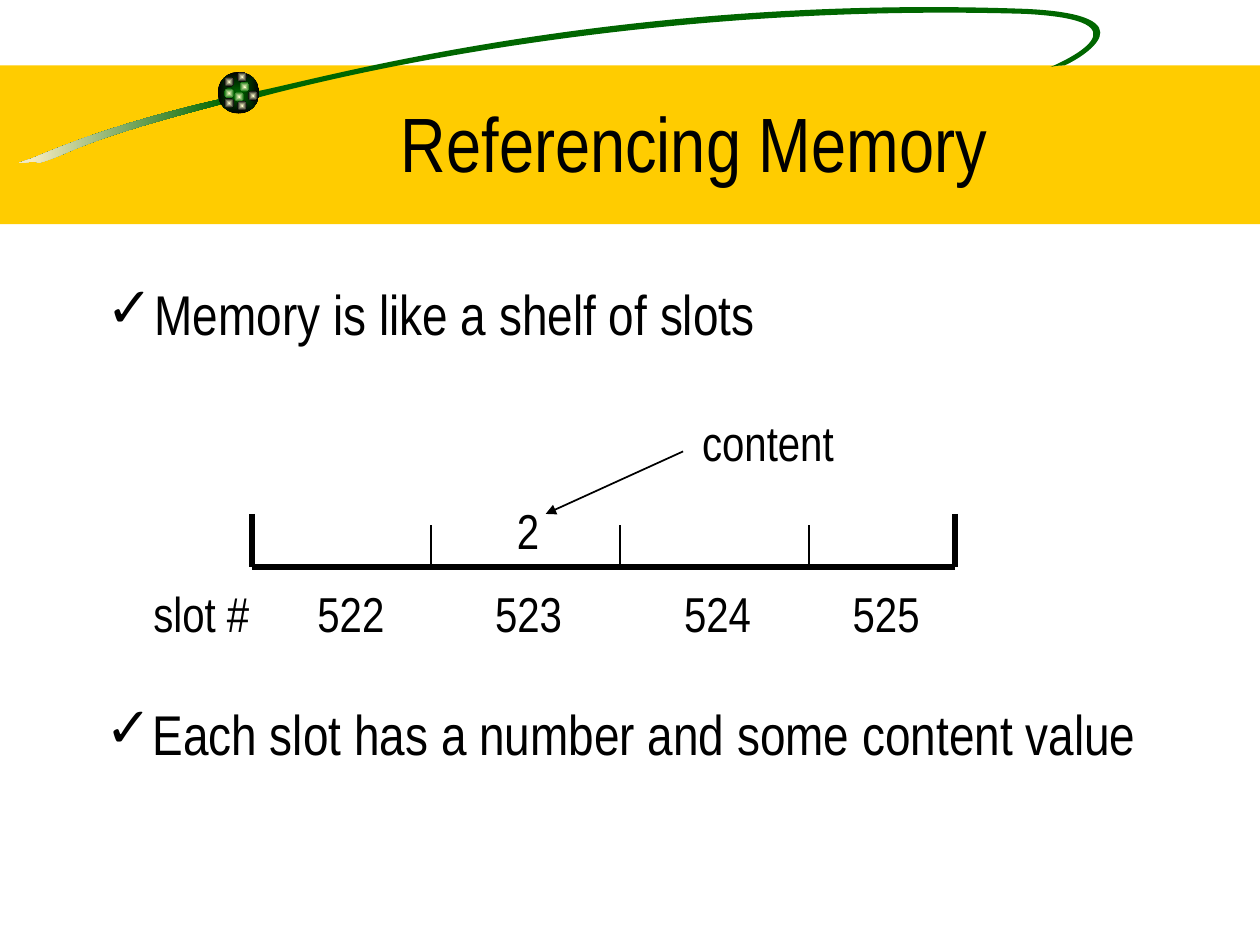
from lxml.etree import SubElement
from pptx import Presentation
from pptx.dml.color import RGBColor
from pptx.enum.shapes import MSO_CONNECTOR, MSO_SHAPE
from pptx.enum.text import MSO_ANCHOR, PP_ALIGN
from pptx.oxml.ns import qn
from pptx.util import Cm, Pt

COLORS = {
    "band": "FFCC00",
    "green": "006600",
    "cream": "F5EBC1",
    "glow": "FFFFCC",
    "black": "000000",
}
RGB = {name: RGBColor.from_string(value) for name, value in COLORS.items()}
FONT = "Arial Narrow"


def write(frame, text, size=28, align=PP_ALIGN.CENTER, anchor=MSO_ANCHOR.BOTTOM,
          wrap=False, bullet=None, indent=0.0):
    """Fill a text frame with one formatted paragraph."""
    frame.word_wrap = wrap
    frame.vertical_anchor = anchor
    paragraph = frame.paragraphs[0]
    paragraph.alignment = align
    run = paragraph.add_run()
    run.text = text
    run.font.name = FONT
    run.font.size = Pt(size)
    run.font.color.rgb = RGB["black"]
    if bullet:
        paragraph.space_before = Pt(8)
        properties = paragraph._p.get_or_add_pPr()
        properties.set("marL", str(Cm(indent)))
        properties.set("indent", str(-Cm(indent)))
        bullet_color = SubElement(properties, qn("a:buClr"))
        SubElement(bullet_color, qn("a:srgbClr"), val=COLORS["black"])
        SubElement(properties, qn("a:buFont"), typeface=FONT)
        SubElement(properties, qn("a:buChar"), char=bullet)


def add_curve(shapes, start, curves):
    """Add a closed outline of cubic curves, with points in centimetres."""
    builder = shapes.build_freeform(Cm(start[0]), Cm(start[1]))
    builder.add_line_segments([(Cm(x), Cm(y)) for _, _, (x, y) in curves], close=True)
    outline = builder.convert_to_shape()
    segments = list(outline.element.iter(qn("a:lnTo")))
    for segment, controls in zip(segments, curves):
        curve = segment.getparent().makeelement(qn("a:cubicBezTo"))
        for x, y in controls:
            SubElement(curve, qn("a:pt"), x=str(Cm(x) - outline.left),
                       y=str(Cm(y) - outline.top))
        segment.getparent().replace(segment, curve)
    outline.shadow.inherit = False
    outline.line.fill.background()
    return outline


prs = Presentation()
prs.slide_width, prs.slide_height = Cm(25.4), Cm(19.05)
slide = prs.slides.add_slide(prs.slide_layouts[5])
shapes = slide.shapes

# Title band
band = shapes.add_shape(MSO_SHAPE.RECTANGLE, 0, Cm(1.32), Cm(25.4), Cm(3.2))
band.shadow.inherit = False
band.fill.solid()
band.fill.fore_color.rgb = RGB["band"]
band.line.fill.background()

# Sweeping stroke: fading tail and green loop
tail = add_curve(shapes, (4.52, 1.98), [
    ((2.31, 2.49), (1.24, 2.95), (0.64, 3.2)),
    ((0.03, 3.4), (0.66, 3.2), (0.79, 3.28)),
    ((1.45, 3.1), (1.45, 2.87), (4.55, 2.08)),
])
tail.fill.gradient()
tail.fill.gradient_angle = 180
for stop, name in zip(tail.fill.gradient_stops, ("green", "cream")):
    stop.color.rgb = RGB[name]

loop = add_curve(shapes, (5.13, 1.85), [
    ((6.25, 1.65), (12.34, -0.13), (20.68, 0.18)),
    ((23.29, 0.3), (21.77, 1.19), (21.46, 1.32)),
    ((21.46, 1.32), (21.29, 1.32), (21.18, 1.35)),
    ((21.44, 1.24), (23.27, 0.41), (20.65, 0.28)),
    ((13.92, 0.08), (8.13, 1.19), (5.23, 1.96)),
])
loop.fill.solid()
loop.fill.fore_color.rgb = RGB["green"]

# Ball with glowing dots: left, top, diameter, centre colour, edge colour
ball = [(4.39, 1.45, 0.84, "green", "black")]
dots = [
    (4.83, 1.65, "green"), (4.52, 1.55, "black"), (4.52, 1.78, "green"),
    (4.72, 1.85, "green"), (5.0, 1.83, "black"), (4.78, 2.03, "black"),
    (4.52, 1.98, "black"), (4.78, 1.45, "black"),
]
for left, top, diameter, centre, rim in ball + [
        (x, y, 0.2, "glow", color) for x, y, color in dots]:
    bead = shapes.add_shape(MSO_SHAPE.OVAL, Cm(left), Cm(top), Cm(diameter), Cm(diameter))
    bead.shadow.inherit = False
    bead.line.fill.background()
    bead.fill.gradient()
    for stop, name in zip(bead.fill.gradient_stops, (centre, rim)):
        stop.color.rgb = RGB[name]
    gradient = bead.element.spPr.find(qn("a:gradFill"))
    gradient.remove(gradient.find(qn("a:lin")))
    radial = SubElement(gradient, qn("a:path"), path="rect")
    SubElement(radial, qn("a:fillToRect"), l="50000", t="50000", r="50000", b="50000")

# Title, brought in front of the band
title = shapes.title
title.left, title.top, title.width, title.height = Cm(3.2), Cm(1.27), Cm(21.59), Cm(3.18)
write(title.text_frame, "Referencing Memory", size=44, anchor=MSO_ANCHOR.MIDDLE, wrap=True)
title.element.getparent().append(title.element)

# Bullet statements
for text, left, top, width, height, indent in (
        ("Memory is like a shelf of slots", 1.9, 5.51, 21.59, 1.9, 0.97),
        ("Each slot has a number and some content value", 1.88, 13.97, 21.29, 2.97, 0.58)):
    statement = shapes.add_textbox(Cm(left), Cm(top), Cm(width), Cm(height))
    write(statement.text_frame, text, size=32, align=PP_ALIGN.LEFT,
          anchor=MSO_ANCHOR.TOP, wrap=True, bullet="✓", indent=indent)

# Shelf walls, floor, slot dividers and the arrow to the content
shelf_left, shelf_right, floor = 5.08, 19.25, 11.43
strokes = [(x, 10.36, x, floor, 3) for x in (shelf_left, shelf_right)]
strokes.append((shelf_left, floor, shelf_right, floor, 3))
strokes += [(8.69 + 3.81 * i, 10.59, 8.69 + 3.81 * i, floor, 1) for i in range(3)]
strokes.append((13.77, 9.1, 11.0, 10.36, 1))
for x1, y1, x2, y2, weight in strokes:
    edge = shapes.add_connector(MSO_CONNECTOR.STRAIGHT, Cm(x1), Cm(y1), Cm(x2), Cm(y2))
    edge.line.color.rgb = RGB["black"]
    edge.line.width = Pt(weight)
    SubElement(edge.element.spPr, qn("a:effectLst"))
arrow = edge
SubElement(arrow.element.spPr.find(qn("a:ln")), qn("a:tailEnd"), type="triangle")

# Slot numbers, slot value and captions
for text, left, top, width in (
        ("2", 10.16, 9.96, 0.97),
        ("slot #", 2.84, 11.63, 2.44),
        ("522", 6.15, 11.63, 1.85),
        ("523", 9.73, 11.63, 1.85),
        ("524", 13.54, 11.63, 1.85),
        ("525", 16.94, 11.63, 1.85),
        ("content", 13.89, 8.18, 3.18)):
    label = shapes.add_textbox(Cm(left), Cm(top), Cm(width), Cm(1.45))
    write(label.text_frame, text)

prs.save("out.pptx")
